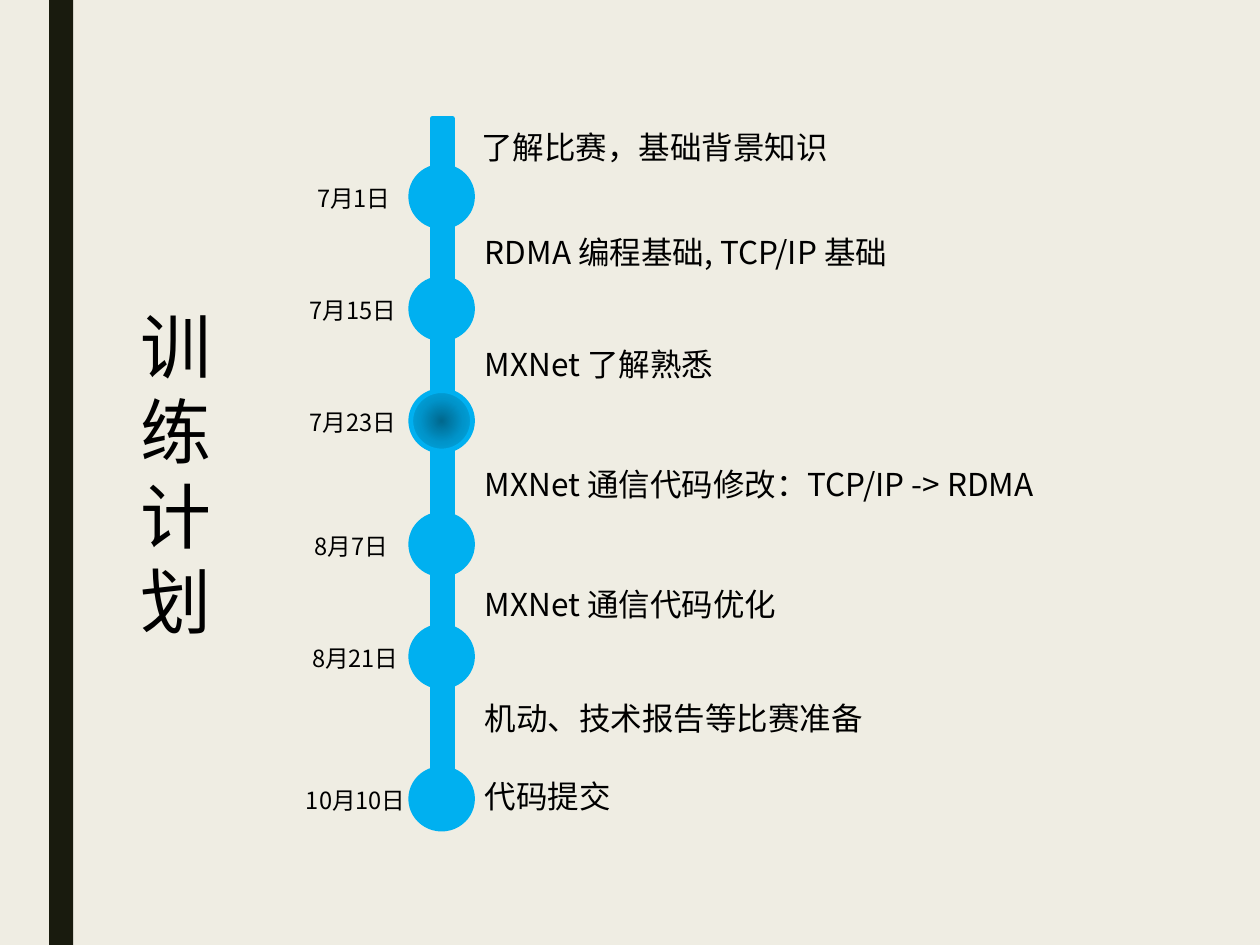
from lxml import etree
from pptx import Presentation
from pptx.dml.color import RGBColor
from pptx.enum.shapes import MSO_SHAPE
from pptx.enum.text import MSO_AUTO_SIZE
from pptx.oxml import parse_xml
from pptx.util import Inches, Pt

RECTANGLE, OVAL = MSO_SHAPE.RECTANGLE, MSO_SHAPE.OVAL
GROW = MSO_AUTO_SIZE.SHAPE_TO_FIT_TEXT
CREAM = RGBColor(0xEF, 0xED, 0xE3)
DARK = RGBColor(0x19, 0x1B, 0x0E)
BLUE = RGBColor(0x00, 0xB0, 0xF0)
MID_BLUE = RGBColor(0x00, 0x94, 0xCA)
DEEP_BLUE = RGBColor(0x00, 0x68, 0x8E)
BLACK = RGBColor(0, 0, 0)
FONT = "Noto Sans CJK SC"
DRAWING = "http://schemas.openxmlformats.org/drawingml/2006/main"
CELL = Inches(0.1)
COLUMNS, ROWS = 100, 75

MILESTONES = [
    ("7月1日", 0.9, 8.0, 3.8),
    ("7月15日", 0.3, 9.1, 12.7),
    ("7月23日", 0.3, 9.1, 21.6),
    ("8月7日", 0.7, 8.0, 31.4),
    ("8月21日", 0.5, 9.1, 40.3),
    ("10月10日", 0, 10.1, 51.6),
]
CURRENT_DATE = "7月23日"
TASKS = [
    ("了解比赛，基础背景知识", 13.9, 0.3, 29.8),
    ("RDMA 编程基础, TCP/IP 基础", 14.2, 8.6, 34),
    ("MXNet 了解熟悉", 14.2, 17.5, 20.4),
    ("MXNet 通信代码修改：TCP/IP -> RDMA", 14.2, 27, 46.5),
    ("MXNet 通信代码优化", 14.2, 36.5, 25.4),
    ("机动、技术报告等比赛准备", 14.2, 45.6, 32.3),
    ("代码提交", 14.2, 51.8, 12.1),
]


def place(box, column, row, width, height):
    """Turn grid units relative to a box into slide lengths."""
    left, top = box[:2]
    return [round(v * CELL) for v in (left + column, top + row, width, height)]


def add_block(slide, kind, position, color, outlined=True):
    """Add a flat shape, with an outline of its own colour if wanted."""
    block = slide.shapes.add_shape(kind, *position)
    block.shadow.inherit = False
    block.fill.solid()
    block.fill.fore_color.rgb = color
    if outlined:
        block.line.color.rgb = color
        block.line.width = Pt(2.75)
    else:
        block.line.fill.background()
    return block


def add_label(slide, position, text, size):
    """Add a wrapped text box in the slide's font."""
    frame = slide.shapes.add_textbox(*position).text_frame
    frame.text = text
    frame.word_wrap = True
    frame.auto_size = GROW
    for paragraph in frame.paragraphs:
        for run in paragraph.runs:
            run.font.size = Pt(size)
            run.font.name = FONT
            run.font.color.rgb = BLACK
            east_asian = etree.SubElement(run.font._element, f"{{{DRAWING}}}ea")
            east_asian.set("typeface", FONT)


def shade_radially(dot):
    """Replace a solid fill with a gradient that is darkest in the centre."""
    stops = "".join(
        f'<a:gs pos="{share * 1000}"><a:srgbClr val="{color}"/></a:gs>'
        for share, color in ((0, DEEP_BLUE), (50, MID_BLUE), (100, BLUE))
    )
    gradient = parse_xml(
        f'<a:gradFill xmlns:a="{DRAWING}"><a:gsLst>{stops}</a:gsLst>'
        '<a:path path="circle"><a:fillToRect l="50000" t="50000" '
        'r="50000" b="50000"/></a:path></a:gradFill>'
    )
    properties = dot._element.spPr
    solid = properties.find(f"{{{DRAWING}}}solidFill")
    properties.replace(solid, gradient)


def draw_side_band(slide, box):
    """Fill the box with the dark vertical band."""
    add_block(slide, RECTANGLE, place(box, 0, 0, *box[2:]), DARK, outlined=False)


def draw_title(slide, box):
    """Stack the title's characters in the box."""
    add_label(slide, place(box, 0, 0, *box[2:]), "\n".join("训练计划"), 40.5)


def draw_timeline(slide, box):
    """Draw the bar, its dated dots and the tasks between them."""
    add_block(slide, RECTANGLE, place(box, 11, 0, 1.6, box[3]), BLUE)
    for date, column, width, row in MILESTONES:
        dot = add_block(slide, OVAL, place(box, 9.3, row, 4.9, 4.8), BLUE)
        if date == CURRENT_DATE:
            shade_radially(dot)
        add_label(slide, place(box, column, row + 0.9, width, 3.3), date, 13.5)
    for task, column, row, width in TASKS:
        add_label(slide, place(box, column, row, width, 4), task, 18)


def main():
    """Build the training plan slide."""
    deck = Presentation()
    deck.slide_width, deck.slide_height = COLUMNS * CELL, ROWS * CELL
    slide = deck.slides.add_slide(deck.slide_layouts[6])
    slide.background.fill.solid()
    slide.background.fill.fore_color.rgb = CREAM
    draw_side_band(slide, (3.9, 0, 1.9, ROWS))
    draw_timeline(slide, (23.3, 9.4, 60.7, 56.2))
    draw_title(slide, (10.2, 23.5, 7.7, 28.3))
    deck.save("out.pptx")


if __name__ == "__main__":
    main()
